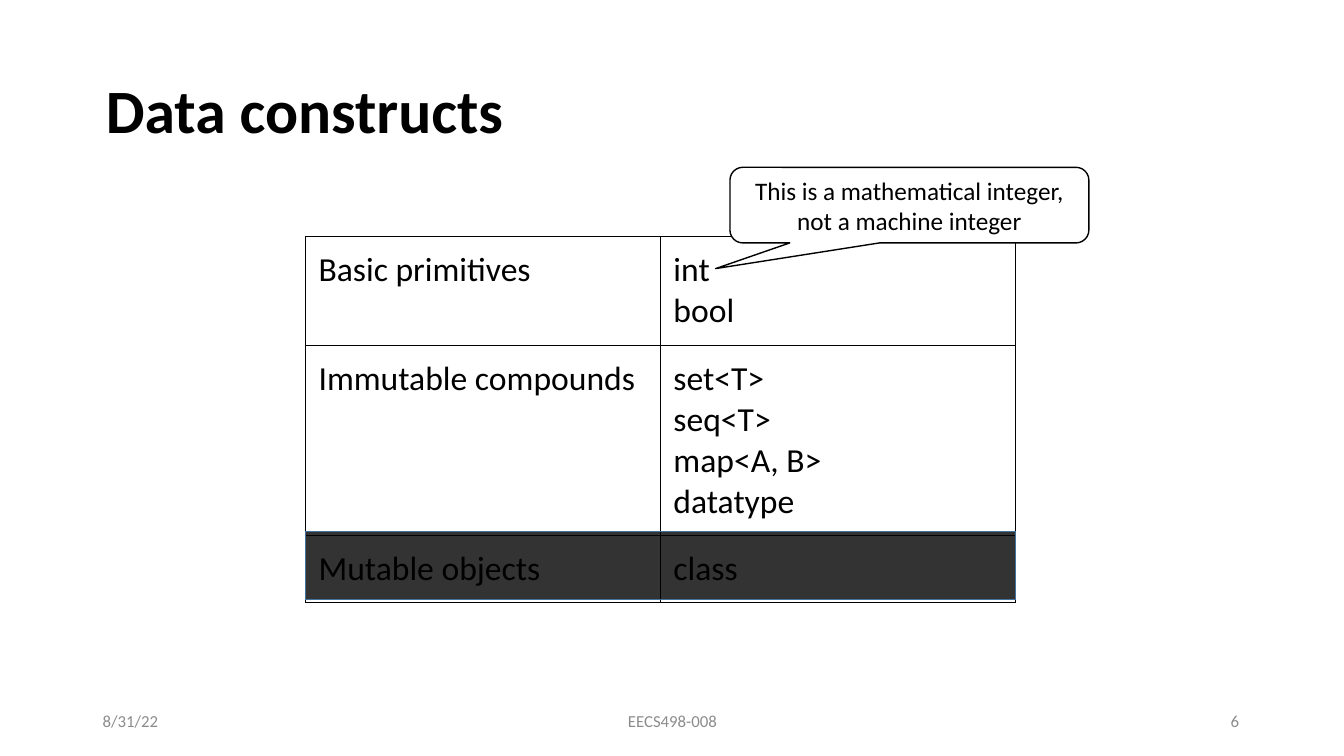
from lxml import etree
from pptx import Presentation
from pptx import util as u
from pptx.dml.color import RGBColor
from pptx.enum import shapes, text
from pptx.oxml import ns

TITLE = "Data constructs"
ROWS = [
    ("Basic primitives", ["int", "bool"], 1.07),
    ("Immutable compounds", ["set<T>", "seq<T>", "map<A, B>", "datatype"], 1.87),
    ("Mutable objects", ["class"], 0.67),
]
NOTE = "This is a mathematical integer, not a machine integer"
LEFT, MID, RIGHT = text.PP_ALIGN.LEFT, text.PP_ALIGN.CENTER, text.PP_ALIGN.RIGHT
FOOT = [
    ("8/31/22", 0.92, 3, LEFT, 0.1),
    ("EECS498-008", 4.42, 4.5, MID, 0.1),
    ("6", 9.42, 3, RIGHT, 0.13),
]
BLACK = RGBColor(0, 0, 0)
WHITE = RGBColor(255, 255, 255)
GRAY = RGBColor(0x8C, 0x8C, 0x8C)
BLUE = RGBColor(0x43, 0x73, 0x9E)
WIDE, HIGH = 13.33, 7.5
COL, TOP, PAD = 3.52, 2.35, 0.13
GRID = 3.03
SHADE = 5.27, 0.68


def box(*nums):
    return [u.Inches(n) for n in nums]


def write(frame, lines, size, color=BLACK, align=LEFT, bold=False):
    for i, line in enumerate(lines):
        para = frame.paragraphs[0] if i == 0 else frame.add_paragraph()
        para.alignment = align
        run = para.add_run()
        run.text = line
        font = run.font
        font.name, font.size, font.bold = "Calibri", u.Pt(size), bold
        font.color.rgb = color


def inset(item, side, edge=0.05):
    item.margin_left = item.margin_right = u.Inches(side)
    item.margin_top = item.margin_bottom = u.Inches(edge)


def center(frame, side=0.1, edge=0.05):
    frame.word_wrap = True
    frame.auto_size = text.MSO_AUTO_SIZE.NONE
    frame.vertical_anchor = text.MSO_ANCHOR.MIDDLE
    inset(frame, side, edge)


def border(cell):
    props = cell._tc.get_or_add_tcPr()
    for i, side in enumerate(("lnL", "lnR", "lnT", "lnB")):
        line = etree.Element(ns.qn("a:" + side), w=str(u.Pt(1)))
        fill = etree.SubElement(line, ns.qn("a:solidFill"))
        etree.SubElement(fill, ns.qn("a:srgbClr"), val=str(BLACK))
        props.insert(i, line)


def shape(slide, kind, place, fill, line):
    item = slide.shapes.add_shape(kind, *box(*place))
    item.shadow.inherit = False
    item.fill.solid()
    item.fill.fore_color.rgb = fill
    item.line.color.rgb = line
    item.line.width = u.Pt(1)
    return item


def main():
    deck = Presentation()
    deck.slide_width, deck.slide_height = box(WIDE, HIGH)
    slide = deck.slides.add_slide(deck.slide_layouts[5])

    title = slide.shapes.title
    title.left, title.top, title.width, title.height = box(0.92, 0.4, 11.5, 1.45)
    center(title.text_frame, PAD, PAD)
    write(title.text_frame, [TITLE], 44, bold=True)
    title.text_frame.paragraphs[0].line_spacing = 0.9

    tall = sum(row[2] for row in ROWS)
    grid = slide.shapes.add_table(len(ROWS), 2, *box(GRID, TOP, 2 * COL, tall)).table
    grid.first_row = grid.horz_banding = False
    for col in grid.columns:
        col.width = u.Inches(COL)
    for r, (name, kinds, high) in enumerate(ROWS):
        grid.rows[r].height = u.Inches(high)
        for c, lines in enumerate(([name], kinds)):
            cell = grid.cell(r, c)
            cell.fill.background()
            inset(cell, PAD, PAD)
            border(cell)
            write(cell.text_frame, lines, 24)

    for words, left, wide, align, side in FOOT:
        foot = slide.shapes.add_textbox(*box(left, 6.95, wide, 0.4))
        center(foot.text_frame, side)
        write(foot.text_frame, [words], 12, GRAY, align)

    kind = shapes.MSO_SHAPE
    note = shape(slide, kind.ROUNDED_RECTANGULAR_CALLOUT,
                 (7.24, 1.66, 3.56, 0.75), WHITE, BLACK)
    for i, value in enumerate((-0.54, 0.84, 0.17)):
        note.adjustments[i] = value
    center(note.text_frame)
    write(note.text_frame, [NOTE], 18, align=MID)

    top, high = SHADE
    shade = shape(slide, kind.RECTANGLE, (GRID, top, 2 * COL, high), BLACK, BLUE)
    tint = shade.fill._xPr.find(ns.qn("a:solidFill"))[0]
    etree.SubElement(tint, ns.qn("a:alpha"), val="80000")

    deck.save("out.pptx")


if __name__ == "__main__":
    main()
